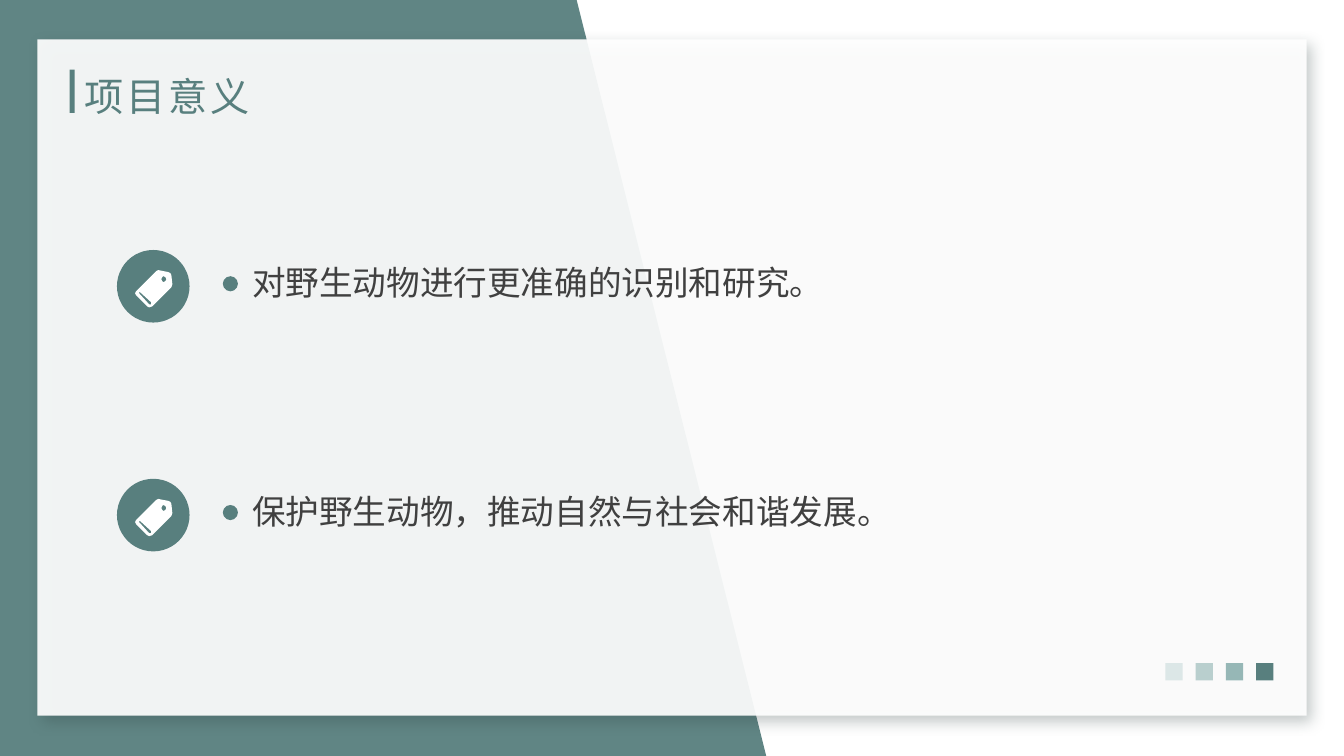
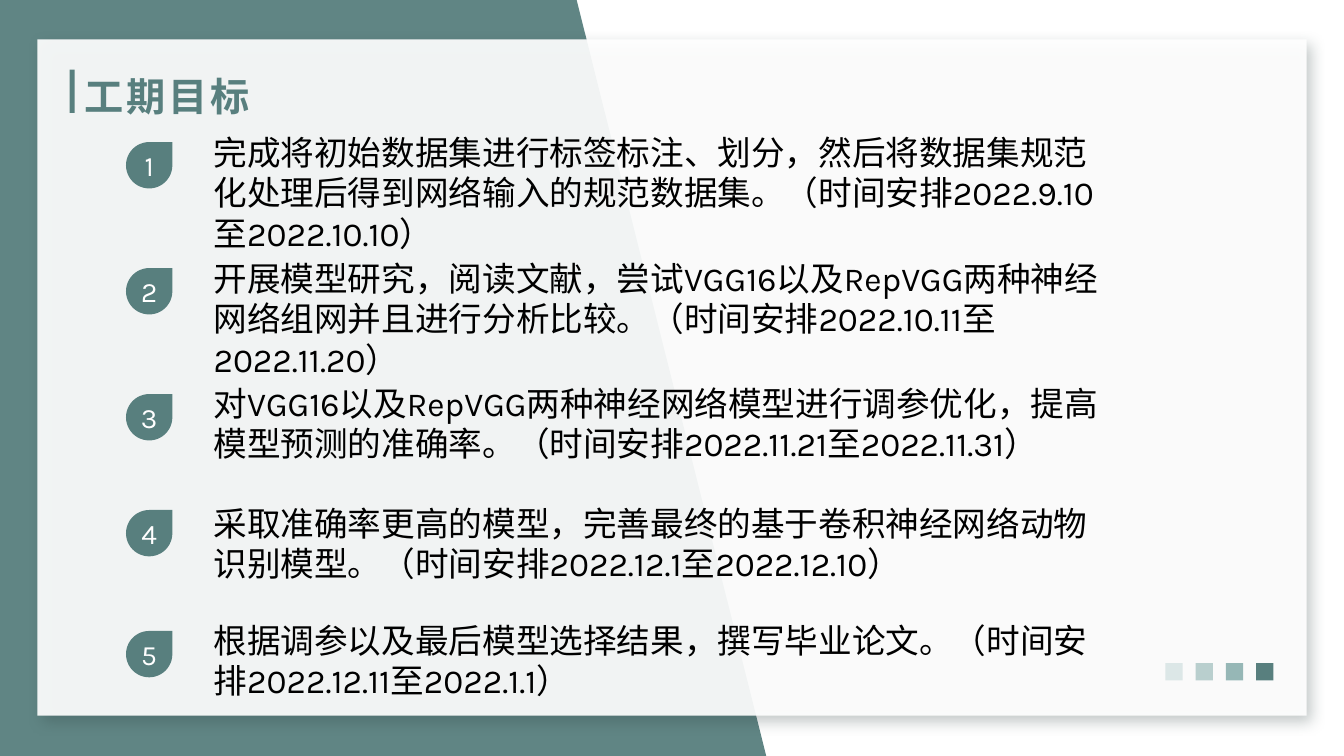
from lxml import etree
from pptx import Presentation
from pptx.dml.color import RGBColor
from pptx.enum.lang import MSO_LANGUAGE_ID
from pptx.enum.shapes import MSO_SHAPE
from pptx.enum.text import MSO_ANCHOR, MSO_AUTO_SIZE, PP_ALIGN
from pptx.oxml.ns import qn
from pptx.util import Inches, Pt

RECTANGLE, OVAL, TEARDROP = MSO_SHAPE.RECTANGLE, MSO_SHAPE.OVAL, MSO_SHAPE.TEAR
MIDDLE, TOP = MSO_ANCHOR.MIDDLE, MSO_ANCHOR.TOP
LEFT, CENTER = PP_ALIGN.LEFT, PP_ALIGN.CENTER
GROW, FIXED = MSO_AUTO_SIZE.SHAPE_TO_FIT_TEXT, MSO_AUTO_SIZE.NONE
CHINESE = MSO_LANGUAGE_ID.SIMPLIFIED_CHINESE

TEAL, WHITE, BLACK, GRAY = "587F7E", "FFFFFF", "000000", "404040"
SHADOW = "2C403F"
SQUARE_COLORS = ["DCE7E7", "B9CFCE", "96B7B6", TEAL]

TITLE_FONT = {"name": "Lato", "size": Pt(28)}
POINT_FONT = {"name": "Roboto", "size": Pt(24)}
GOAL_FONT = {"name": "Karla", "size": Pt(24)}
NUMBER_FONT = {"name": "Karla", "size": Pt(20)}

# Contours of the tag icon, in inches from its top left corner.
TAG = [
    [(0.37, 0.14), (0.36, 0.05), (0.35, 0.03), (0.33, 0.02), (0.23, 0), (0.21, 0.01),
     (0.01, 0.21), (0, 0.23), (0.01, 0.25), (0.12, 0.36), (0.14, 0.37), (0.17, 0.36),
     (0.36, 0.17)],
    [(0.16, 0.34), (0.14, 0.34), (0.04, 0.23), (0.04, 0.22), (0.05, 0.22), (0.16, 0.32)],
    [(0.3, 0.11), (0.28, 0.12), (0.27, 0.11), (0.26, 0.09), (0.27, 0.07), (0.28, 0.06),
     (0.3, 0.07), (0.31, 0.09)],
]

POINTS = [
    (2.48, "对野生动物进行更准确的识别和研究。"),
    (4.75, "保护野生动物，推动自然与社会和谐发展。"),
]
# Top of the badge, top of the text, text.
GOALS = [
    (1.41, 1.26, "完成将初始数据集进行标签标注、划分，然后将数据集规范化处理后得到网络输入的规范数据集。"
                 "（时间安排2022.9.10至2022.10.10）"),
    (2.66, 2.51, "开展模型研究，阅读文献，尝试VGG16以及RepVGG两种神经网络组网并且进行分析比较。"
                 "（时间安排2022.10.11至2022.11.20）"),
    (3.91, 3.75, "对VGG16以及RepVGG两种神经网络模型进行调参优化，提高模型预测的准确率。"
                 "（时间安排2022.11.21至2022.11.31）"),
    (5.06, 4.94, "采取准确率更高的模型，完善最终的基于卷积神经网络动物识别模型。"
                 "（时间安排2022.12.1至2022.12.10）"),
    (6.26, 6.1, "根据调参以及最后模型选择结果，撰写毕业论文。（时间安排2022.12.11至2022.1.1）"),
]


def rgb(value):
    return RGBColor.from_string(value)


def set_alpha(color, percent):
    """Make a color element partly transparent."""
    etree.SubElement(color, qn("a:alpha"), val=str(percent * 1000))


class SlideBuilder:
    """Holds the deck, its style and the slide being built."""

    def __init__(self):
        self.deck = Presentation()
        self.deck.slide_width, self.deck.slide_height = Inches(13.33), Inches(7.5)
        self.page = None

    def paint(self, shape, color, opacity=100):
        shape.shadow.inherit = False
        shape.line.fill.background()
        shape.fill.solid()
        shape.fill.fore_color.rgb = rgb(color)
        if opacity < 100:
            set_alpha(shape._element.spPr.find(".//" + qn("a:srgbClr")), opacity)
        return shape

    def shape(self, kind, left, top, width, height, color, opacity=100):
        box = self.page.shapes.add_shape(
            kind, Inches(left), Inches(top), Inches(width), Inches(height))
        return self.paint(box, color, opacity)

    def outline(self, contours, color, left=0, top=0, opacity=100):
        """Draw closed contours as one shape; inner contours become holes."""
        contours = [[(round(x * 1000), round(y * 1000)) for x, y in contour]
                    for contour in contours]
        builder = self.page.shapes.build_freeform(*contours[0][0], scale=Inches(1) / 1000)
        for index, contour in enumerate(contours):
            if index:
                builder.move_to(*contour[0])
            builder.add_line_segments(contour[1:], close=True)
        return self.paint(builder.convert_to_shape(Inches(left), Inches(top)), color, opacity)

    def add_shadow(self, shape):
        effects = shape._element.spPr.find(qn("a:effectLst"))
        shadow = etree.SubElement(
            effects, qn("a:outerShdw"), blurRad=str(Pt(10)), dist=str(Pt(6)),
            dir=str(45 * 60000), algn="tl", rotWithShape="0")
        set_alpha(etree.SubElement(shadow, qn("a:srgbClr"), val=SHADOW), 30)

    def set_text(self, box, text, font, color, align=LEFT, anchor=TOP, autosize=GROW,
                 inset=None, line_spacing=None, bold=False, letter_spacing=0):
        frame = box.text_frame
        layout = {"word_wrap": True, "auto_size": autosize, "vertical_anchor": anchor}
        if inset is not None:
            for side in ("left", "right", "top", "bottom"):
                layout["margin_" + side] = Inches(inset)
        for name, value in layout.items():
            setattr(frame, name, value)
        para = frame.paragraphs[0]
        para.alignment = align
        para.line_spacing = line_spacing
        span = para.add_run()
        span.text = text
        for name, value in {**font, "bold": bold, "language_id": CHINESE}.items():
            setattr(span.font, name, value)
        span.font.color.rgb = rgb(color)
        if letter_spacing:
            span._r.get_or_add_rPr().set("spc", str(letter_spacing * 100))

    def text(self, left, top, width, height, text, font, color, **options):
        box = self.page.shapes.add_textbox(
            Inches(left), Inches(top), Inches(width), Inches(height))
        self.set_text(box, text, font, color, **options)

    def start_page(self, title, bold=False):
        """Add a slide with the shared background, panel, squares and title."""
        self.page = self.deck.slides.add_slide(self.deck.slide_layouts[6])
        self.outline([[(0, 0), (5.72, 0), (7.6, 7.5), (0, 7.5)]], TEAL, opacity=95)
        self.add_shadow(self.shape(RECTANGLE, 0.37, 0.39, 12.59, 6.71, WHITE, 92))
        for index, color in enumerate(SQUARE_COLORS):
            self.shape(RECTANGLE, 11.56 + 0.3 * index, 6.58, 0.17, 0.17, color)
        self.shape(RECTANGLE, 0.69, 0.69, 0.05, 0.43, TEAL)
        self.text(0.74, 0.71, 5.26, 0.48, title, TITLE_FONT, TEAL, anchor=MIDDLE,
                  autosize=FIXED, bold=bold, letter_spacing=2)

    def point(self, top, text):
        """Add a tag icon, a dot and one line of text."""
        self.shape(OVAL, 1.16, top, 0.72, 0.72, TEAL)
        self.outline(TAG, WHITE, 1.34, top + 0.2)
        self.shape(OVAL, 2.21, top + 0.26, 0.15, 0.15, TEAL)
        self.text(2.5, top, 9.83, 0.5, text, POINT_FONT, GRAY, inset=0, line_spacing=1.3)

    def goal(self, number, badge_top, text_top, text):
        """Add a numbered badge and its text."""
        badge = self.shape(TEARDROP, 1.25, badge_top, 0.46, 0.46, TEAL)
        self.set_text(badge, str(number), NUMBER_FONT, WHITE, align=CENTER, anchor=MIDDLE,
                      autosize=FIXED, inset=0)
        self.text(2.02, text_top, 9, 0.91, text, GOAL_FONT, BLACK)


def main():
    slides = SlideBuilder()
    slides.start_page("项目意义")
    for top, text in POINTS:
        slides.point(top, text)
    slides.start_page("工期目标", bold=True)
    for number, goal in enumerate(GOALS, start=1):
        slides.goal(number, *goal)
    slides.deck.save("out.pptx")


if __name__ == "__main__":
    main()
